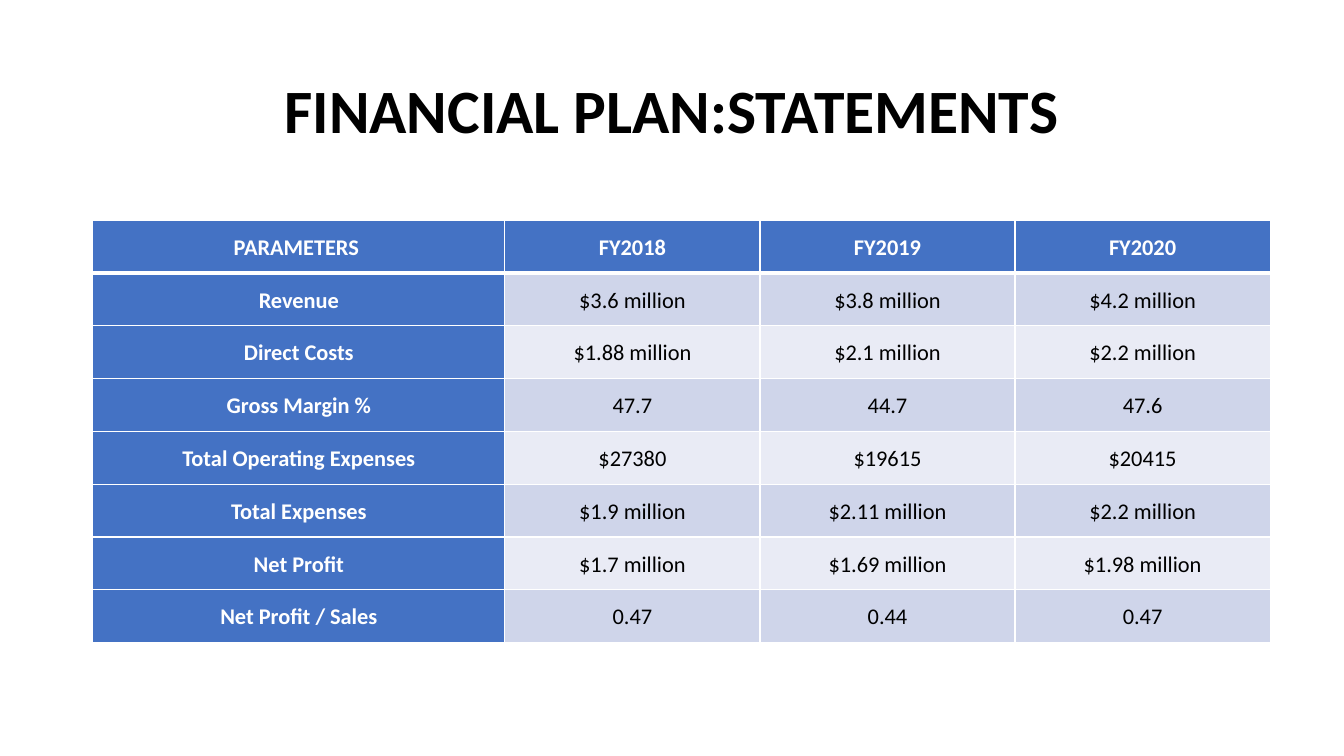
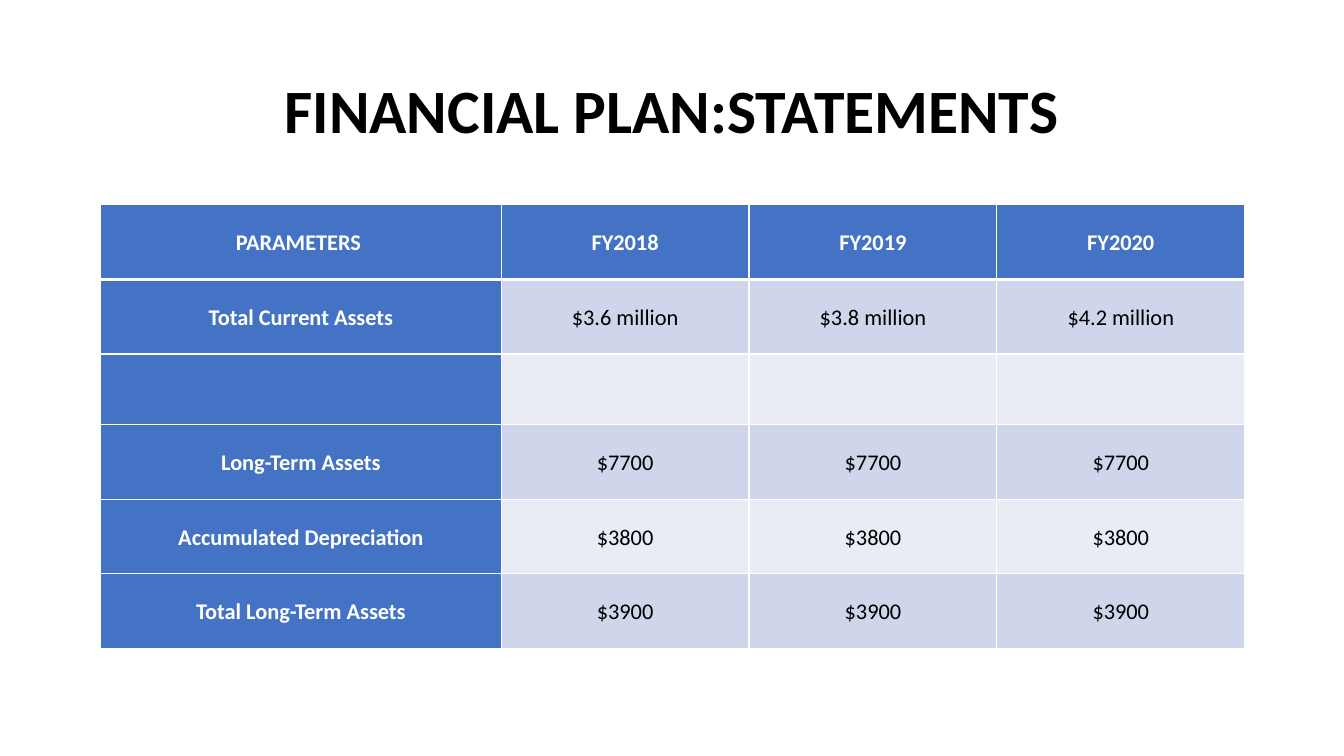
from lxml.etree import SubElement
from pptx import Presentation
from pptx.dml.color import RGBColor
from pptx.enum.text import MSO_ANCHOR, PP_ALIGN
from pptx.oxml.ns import qn
from pptx.util import Cm, Pt

FONT = "Calibri"
BLUE, BAND_DARK, BAND_LIGHT = "4472C4", "CFD5EA", "E9EBF5"
WHITE, BLACK = "FFFFFF", "000000"
TITLE = "FINANCIAL PLAN:STATEMENTS"
TITLE_BOX = (2.33, 1.01, 29.21, 3.68)
FIRST_COL_SHARE = 0.35
HEADER = ["PARAMETERS ", "FY2018", "FY2019", "FY2020"]

INCOME_ROWS = [
    ["Revenue", "$3.6 million", "$3.8 million", "$4.2 million"],
    ["Direct Costs", "$1.88 million", "$2.1 million", "$2.2 million"],
    ["Gross Margin %", "47.7", "44.7", "47.6"],
    ["Total Operating Expenses", "$27380", "$19615", "$20415"],
    ["Total Expenses", "$1.9 million", "$2.11 million", "$2.2 million"],
    ["Net Profit", "$1.7 million", "$1.69 million", "$1.98 million"],
    ["Net Profit / Sales", "0.47", "0.44", "0.47"],
]
ASSET_ROWS = [
    ["Total Current Assets", "$3.6 million", "$3.8 million", "$4.2 million"],
    [""] * 4,
    ["Long-Term Assets"] + ["$7700"] * 3,
    ["Accumulated Depreciation"] + ["$3800"] * 3,
    ["Total Long-Term Assets"] + ["$3900"] * 3,
]


def rgb(value):
    """Turn a hex string into a colour."""
    return RGBColor.from_string(value)


def write(tf, text, size, color, bold, spacing):
    """Put one centred run of text into a text frame."""
    p = tf.paragraphs[0]
    p.alignment = PP_ALIGN.CENTER
    p.line_spacing = spacing
    if text:
        r = p.add_run()
        r.text = text
        r.font.name = FONT
        r.font.size = Pt(size)
        r.font.bold = bold
        r.font.color.rgb = rgb(color)


def add_border(cell, side, width):
    """Draw one white side of a cell."""
    tc_pr = cell._tc.get_or_add_tcPr()
    ln = SubElement(tc_pr, qn(f"a:ln{side}"), w=str(Pt(width)))
    fill = SubElement(ln, qn("a:solidFill"))
    SubElement(fill, qn("a:srgbClr"), val=WHITE)


def format_cell(cell, text, row, col):
    """Fill a cell according to its place in the table."""
    is_label = row == 0 or col == 0
    widths = {"L": 1, "R": 1, "T": 3 if row == 1 else 1, "B": 3 if row == 0 else 1}
    for side, width in widths.items():
        add_border(cell, side, width)
    cell.fill.solid()
    band = BAND_DARK if row % 2 else BAND_LIGHT
    cell.fill.fore_color.rgb = rgb(BLUE if is_label else band)
    cell.vertical_anchor = MSO_ANCHOR.MIDDLE
    cell.margin_left = cell.margin_right = 0
    cell.margin_top, cell.margin_bottom = Cm(0.05), Cm(0.1)
    write(cell.text_frame, text, 16, WHITE if is_label else BLACK, is_label, 1.15)


def add_statement_table(s, rows, box, heights):
    """Place a statement table in a box given in centimetres."""
    left, top, width, height = box
    frame = s.shapes.add_table(len(rows), len(HEADER), Cm(left), Cm(top), Cm(width), Cm(height))
    table = frame.table
    first = width * FIRST_COL_SHARE
    other = (width - first) / (len(HEADER) - 1)
    for col, column in enumerate(table.columns):
        column.width = Cm(other if col else first)
    for row, texts in enumerate(rows):
        table.rows[row].height = Cm(heights[row])
        for col, text in enumerate(texts):
            format_cell(table.cell(row, col), text, row, col)


def add_title(s, box):
    """Place and format the title placeholder."""
    sp = s.shapes.title
    sp.left, sp.top, sp.width, sp.height = (Cm(v) for v in box)
    sp.text_frame.vertical_anchor = MSO_ANCHOR.MIDDLE
    write(sp.text_frame, TITLE, 44, BLACK, True, 0.9)


def add_statement_slide(prs, rows, left, top, width, heights):
    """Add a slide with the shared title and one statement table."""
    s = prs.slides.add_slide(prs.slide_layouts[5])
    add_title(s, TITLE_BOX)
    add_statement_table(s, [HEADER] + rows, (left, top, width, sum(heights)), heights)


def main():
    """Build and save the presentation."""
    prs = Presentation()
    prs.slide_width, prs.slide_height = Cm(33.87), Cm(19.05)
    add_statement_slide(prs, INCOME_ROWS, 2.34, 5.55, 29.67, [1.33] * 8)
    add_statement_slide(prs, ASSET_ROWS, 2.54, 5.16, 28.83, [1.88, 1.88, 1.78, 1.88, 1.88, 1.88])
    prs.save("out.pptx")


if __name__ == "__main__":
    main()
